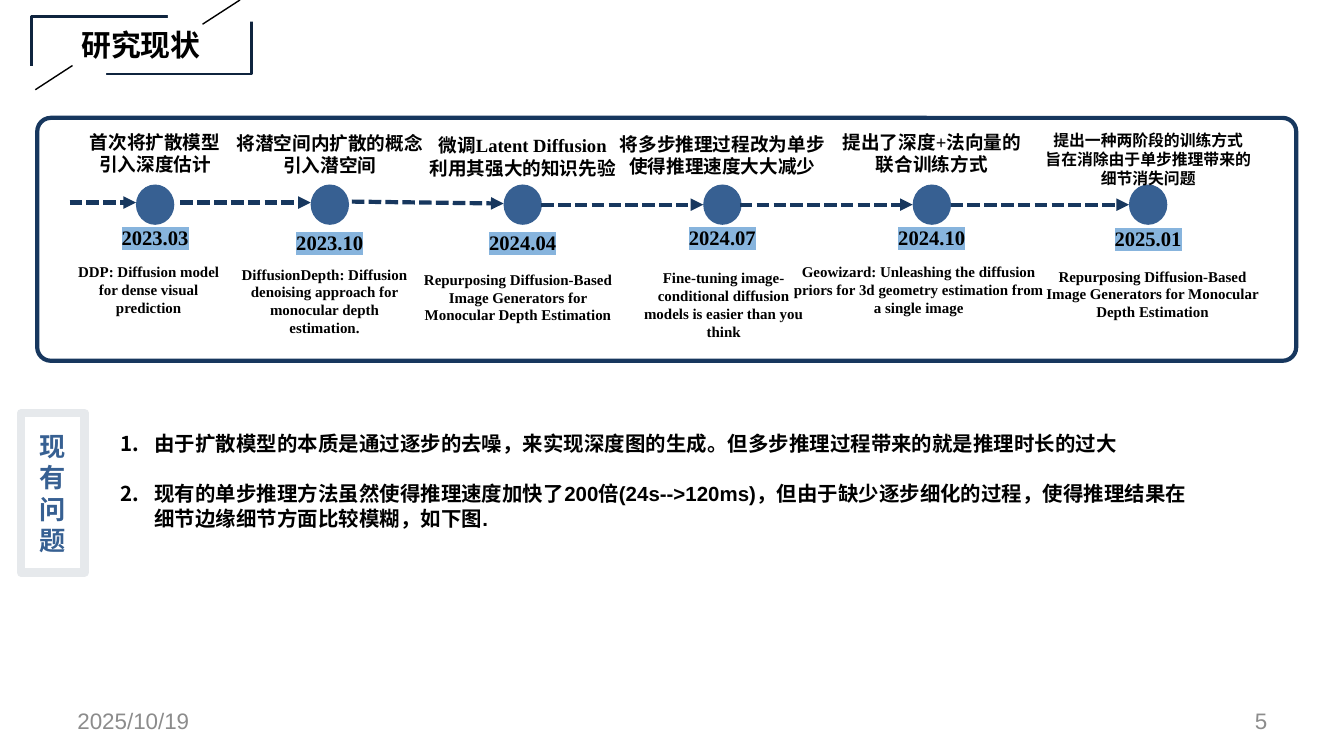
from pptx import Presentation
from pptx.dml.color import RGBColor
from pptx.enum.dml import MSO_LINE
from pptx.enum.shapes import MSO_CONNECTOR, MSO_SHAPE
from pptx.enum.text import MSO_ANCHOR, PP_ALIGN
from pptx.oxml.ns import qn
from pptx.util import Pt
from lxml import etree

CENTER, LEFT, RIGHT = PP_ALIGN.CENTER, PP_ALIGN.LEFT, PP_ALIGN.RIGHT
TOP, MIDDLE = MSO_ANCHOR.TOP, MSO_ANCHOR.MIDDLE
RECT, ROUND, OVAL = MSO_SHAPE.RECTANGLE, MSO_SHAPE.ROUNDED_RECTANGLE, MSO_SHAPE.OVAL
STRAIGHT, DASH = MSO_CONNECTOR.STRAIGHT, MSO_LINE.SQUARE_DOT

THEME = {
    "ink": "000000", "white": "FFFFFF", "navy": "17375E", "blue": "376092",
    "night": "0F243E", "pale": "E6E9EC", "grey": "8C8C8C", "mark": "87B4DD",
    "serif": "Times New Roman", "sans": "Arial",
    "heading": "Noto Sans CJK JP", "east": "Noto Sans CJK SC",
    "title": 21.3, "side": 18.7, "footer": 16, "date": 14.7, "body": 14.6,
    "label": 13.3, "label_small": 11.3, "paper": 10.7,
}

TITLE = "研究现状"
SIDE_LINES = ["现有", "问", "题"]
PROBLEMS = [
    "由于扩散模型的本质是通过逐步的去噪，来实现深度图的生成。但多步推理过程带来的就是推理时长的过大",
    "现有的单步推理方法虽然使得推理速度加快了200倍(24s-->120ms)，但由于缺少逐步细化的过程，"
    "使得推理结果在细节边缘细节方面比较模糊，如下图.",
]
FOOTER_DATE, FOOTER_NUMBER = "2025/10/19", "5"

REPURPOSING = "Repurposing Diffusion-Based Image Generators for Monocular Depth Estimation"
MILESTONES = [
    {"date": "2023.03", "date_top": 157, "center": 110.8,
     "label": ["首次将扩散模型", "引入深度估计"], "label_top": 90,
     "paper": "DDP: Diffusion model for dense visual prediction",
     "paper_box": (46.8, 184.3, 118.8), "arrow": (49.7, 144.7, 144.7)},
    {"date": "2023.10", "date_top": 160.6, "center": 235.6,
     "label": ["将潜空间内扩散的概念", "引入潜空间"], "label_top": 90.7,
     "paper": "DiffusionDepth: Diffusion denoising approach for monocular depth estimation.",
     "paper_box": (162.7, 185.8, 138.2), "arrow": (128.9, 144.7, 144.7)},
    {"date": "2024.04", "date_top": 160.6, "center": 373.4,
     "label": ["微调Latent Diffusion", "利用其强大的知识先验"], "label_top": 92.2,
     "paper": REPURPOSING,
     "paper_box": (292.3, 189.4, 155.5), "arrow": (251.3, 144, 145.4)},
    {"date": "2024.07", "date_top": 157, "center": 516,
     "label": ["将多步推理过程改为单步", "使得推理速度大大减少"], "label_top": 91.4,
     "paper": "Fine-tuning image-conditional diffusion models is easier than you think",
     "paper_box": (446.4, 188.6, 141.1), "arrow": (386.6, 146.2, 146.2)},
    {"date": "2024.10", "date_top": 157, "center": 665.6,
     "label": ["提出了深度+法向量的", "联合训练方式"], "label_top": 90,
     "paper": "Geowizard: Unleashing the diffusion priors for 3d geometry estimation from a single image",
     "paper_box": (559.4, 184.3, 193.7), "arrow": (528.5, 146.2, 146.2)},
    {"date": "2025.01", "date_top": 157.7, "center": 820.1,
     "label": ["提出一种两阶段的训练方式", "旨在消除由于单步推理带来的", "细节消失问题"],
     "label_top": 90, "label_size": "label_small", "paper": REPURPOSING,
     "paper_box": (738, 187.2, 170.6), "arrow": (679, 146.2, 146.2)},
]

DOT_WIDTH, DOT_HEIGHT, DOT_TOP = 27.4, 28.8, 131.8
LABEL_WIDTH, DATE_WIDTH = 169.2, 80


def color(name):
    return RGBColor.from_string(THEME[name])


def write(box, lines, size, font="serif", ink="ink", bold=True, align=CENTER,
          anchor=TOP, wrap=True, mark=None, numbered=False, gap=0):
    frame = box.text_frame
    frame.word_wrap = wrap
    frame.vertical_anchor = anchor
    for index, line in enumerate(lines):
        para = frame.add_paragraph() if index else frame.paragraphs[0]
        para.alignment = align
        para.space_before = Pt(gap if index else 0)
        if numbered:
            layout = para._p.get_or_add_pPr()
            layout.set("marL", str(Pt(24)))
            layout.set("indent", str(Pt(-24)))
            etree.SubElement(layout, qn("a:buFont"), typeface="+mj-lt")
            etree.SubElement(layout, qn("a:buAutoNum"), type="arabicPeriod")
        span = para.add_run()
        span.text = line
        span.font.size = Pt(THEME[size])
        span.font.bold = bold
        span.font.name = THEME[font]
        span.font.color.rgb = color(ink)
        latin = span._r.rPr.find(qn("a:latin"))
        east = etree.Element(qn("a:ea"), typeface=THEME["east"])
        latin.addnext(east)
        if mark:
            highlight = etree.Element(qn("a:highlight"))
            etree.SubElement(highlight, qn("a:srgbClr"), val=THEME[mark])
            latin.addprevious(highlight)


def add_text(page, left, top, width, height, lines, size, **style):
    box = page.shapes.add_textbox(Pt(left), Pt(top), Pt(width), Pt(height))
    write(box, lines, size, **style)


def add_block(page, kind, left, top, width, height, fill=None, line=None, weight=1):
    shape = page.shapes.add_shape(kind, Pt(left), Pt(top), Pt(width), Pt(height))
    shape.shadow.inherit = False
    if fill:
        shape.fill.solid()
        shape.fill.fore_color.rgb = color(fill)
    else:
        shape.fill.background()
    if line:
        shape.line.color.rgb = color(line)
        shape.line.width = Pt(weight)
    else:
        shape.line.fill.background()
    return shape


def add_line(page, start, end, ink, weight, arrow=False):
    line = page.shapes.add_connector(STRAIGHT, *(Pt(value) for value in start + end))
    line.line.color.rgb = color(ink)
    line.line.width = Pt(weight)
    if arrow:
        line.line.dash_style = DASH
        etree.SubElement(line.line._get_or_add_ln(), qn("a:tailEnd"), type="triangle")
    etree.SubElement(line._element.spPr, qn("a:effectLst"))


def add_title(page):
    add_block(page, RECT, 22.7, 11.9, 157, 41, line="night", weight=2)
    for left, top in [(119.9, 7.6), (-0.4, 47.2)]:
        add_block(page, RECT, left, top, 76.3, 7.9, fill="white")
    for start, end in [((171.4, 0), (144.7, 17.3)), ((51.8, 46.8), (25.2, 64.1))]:
        add_line(page, start, end, "ink", 1)
    add_text(page, 22.2, 15.5, 157, 33, [TITLE], "title", font="heading")


def add_milestone(page, item):
    center = item["center"]
    dot_left = center - DOT_WIDTH / 2
    start, start_y, end_y = item["arrow"]
    add_line(page, (start, start_y), (dot_left, end_y), "navy", 3, arrow=True)
    add_block(page, OVAL, dot_left, DOT_TOP, DOT_WIDTH, DOT_HEIGHT, fill="blue")
    add_text(page, center - LABEL_WIDTH / 2, item["label_top"], LABEL_WIDTH, 34,
             item["label"], item.get("label_size", "label"), wrap=False)
    add_text(page, center - DATE_WIDTH / 2, item["date_top"], DATE_WIDTH, 31.7,
             [item["date"]], "date", wrap=False, mark="mark")
    add_text(page, *item["paper_box"], 60, [item["paper"]], "paper")


def main():
    deck = Presentation()
    deck.slide_width, deck.slide_height = Pt(960), Pt(540)
    page = deck.slides.add_slide(deck.slide_layouts[6])

    add_title(page)
    frame = add_block(page, ROUND, 26.6, 84.2, 899.3, 173.5, line="navy", weight=3)
    frame.adjustments[0] = 0.056
    for item in MILESTONES:
        add_milestone(page, item)

    side = add_block(page, RECT, 15.1, 295.2, 45.4, 113.8, fill="white", line="pale", weight=6)
    write(side, SIDE_LINES, "side", font="east", ink="blue", anchor=MIDDLE)
    add_text(page, 79.2, 304.6, 784.8, 77, PROBLEMS, "body", font="sans",
             align=LEFT, numbered=True, gap=18)

    footer = {"font": "sans", "ink": "grey", "bold": False, "anchor": MIDDLE}
    add_text(page, 48.2, 500.4, 223.9, 28.8, [FOOTER_DATE], "footer", align=LEFT, **footer)
    add_text(page, 688.3, 500.4, 223.9, 28.8, [FOOTER_NUMBER], "footer", align=RIGHT, **footer)
    deck.save("out.pptx")


if __name__ == "__main__":
    main()
